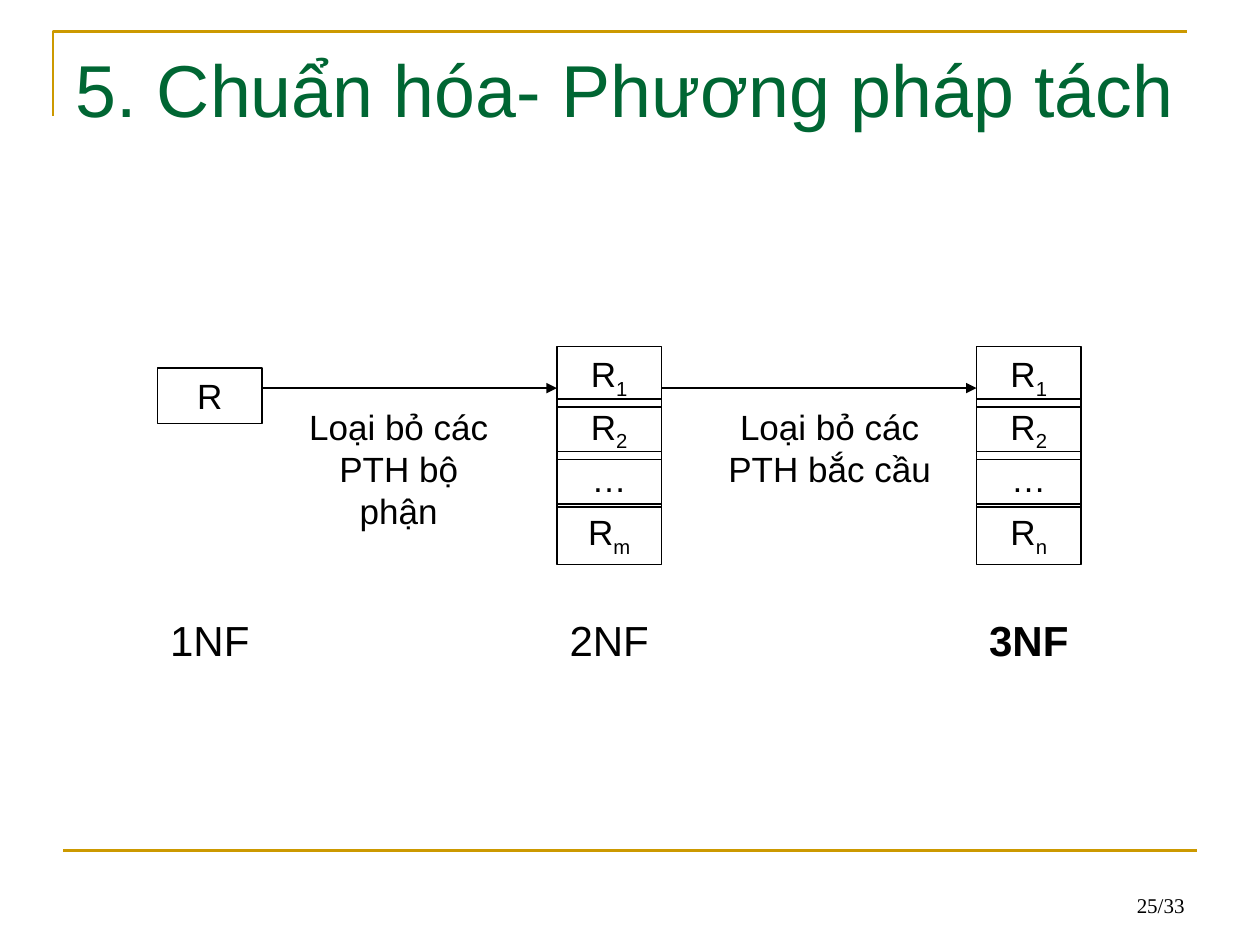
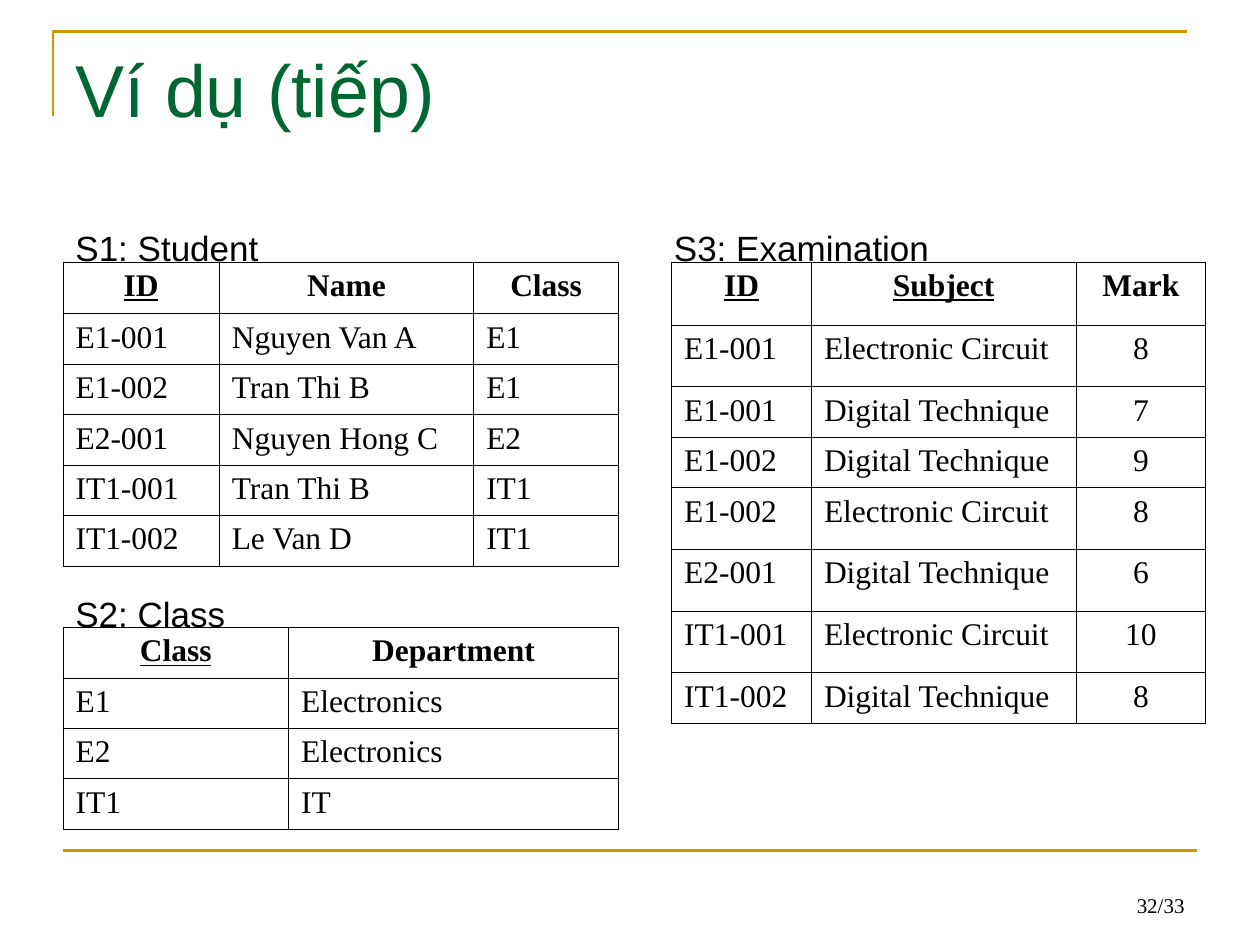
from dataclasses import dataclass

from lxml import etree
from pptx import Presentation
from pptx.dml.color import RGBColor
from pptx.enum import shapes, text
from pptx.oxml.ns import qn
from pptx.util import Inches, Pt


@dataclass(frozen=True)
class Theme:
    ink: RGBColor = RGBColor.from_string("000000")
    gold: RGBColor = RGBColor.from_string("CC9900")
    green: RGBColor = RGBColor.from_string("006633")
    sans: str = "Arial"
    serif: str = "Times New Roman"
    title: int = 42
    stage: int = 24
    body: int = 20
    table: int = 18
    footer: int = 12
    rule: float = 1.5
    outline: float = 0.75
    grid: float = 0.45


T = Theme()
LEFT, CENTER, RIGHT = text.PP_ALIGN.LEFT, text.PP_ALIGN.CENTER, text.PP_ALIGN.RIGHT


def style(p, size, color=T.ink, name=T.sans, bold=False, align=LEFT):
    p.alignment = align
    p.font.size, p.font.name, p.font.bold = Pt(size), name, bold
    p.font.color.rgb = color


def add_label(s, box, words, size, anchor=text.MSO_ANCHOR.TOP, **look):
    tf = s.shapes.add_textbox(*map(Inches, box)).text_frame
    tf.word_wrap = True
    tf.vertical_anchor = anchor
    p = tf.paragraphs[0]
    p.text = words
    style(p, size, **look)


def add_line(s, start, end, color, width, arrow=False):
    line = s.shapes.add_connector(shapes.MSO_CONNECTOR.STRAIGHT,
                                  *map(Inches, (*start, *end)))
    line.line.color.rgb, line.line.width = color, Pt(width)
    if arrow:
        etree.SubElement(line.line._get_or_add_ln(), qn("a:tailEnd"), type="triangle")
    etree.SubElement(line._element.spPr, qn("a:effectLst"))


def add_corner_rule(s, left, top, width, height):
    outline = s.shapes.build_freeform(Inches(left), Inches(top + height))
    outline.add_line_segments([(Inches(left), Inches(top)),
                               (Inches(left + width), Inches(top))], close=False)
    sp = outline.convert_to_shape()
    sp.shadow.inherit = False
    sp.fill.background()
    sp.line.color.rgb, sp.line.width = T.gold, Pt(T.rule)


def add_framed_slide(prs, title, page):
    """Add a blank slide with the shared rules, title and page number."""
    s = prs.slides.add_slide(prs.slide_layouts[6])
    add_corner_rule(s, 0.42, 0.25, 9, 0.67)
    add_line(s, (0.5, 6.75), (9.5, 6.75), T.gold, T.rule)
    add_label(s, (0.5, 0.3, 9, 1.25), title, T.title, color=T.green)
    add_label(s, (7.17, 6.83, 2.33, 0.5), f"{page}/33", T.footer,
              anchor=text.MSO_ANCHOR.BOTTOM, name=T.serif, align=RIGHT)
    return s


def add_relation(s, left, top, width, name, subscript=""):
    height = 0.48 if subscript else 0.44
    sp = s.shapes.add_shape(shapes.MSO_SHAPE.RECTANGLE,
                            *map(Inches, (left, top, width, height)))
    sp.shadow.inherit = False
    sp.fill.background()
    sp.line.color.rgb, sp.line.width = T.ink, Pt(T.outline)
    tf = sp.text_frame
    tf.word_wrap = True
    tf.vertical_anchor = text.MSO_ANCHOR.TOP
    p = tf.paragraphs[0]
    style(p, T.body, align=CENTER)
    p.add_run().text = name
    if subscript:
        r = p.add_run()
        r.text = subscript
        r.font._element.set("baseline", "-25000")


def add_stage(s, left, top, width, normal_form, relations, bold=False):
    """Stack the relations of one normal form, with its name underneath."""
    pitch = 1.25 / 3
    for i, relation in enumerate(relations):
        add_relation(s, left, top + i * pitch, width, *relation)
    label_width = 1.17
    add_label(s, (left + (width - label_width) / 2, 4.83, label_width, 0.5),
              normal_form, T.stage, bold=bold, align=CENTER)


def add_step(s, start, end, y, caption, caption_left, caption_width):
    add_line(s, (start, y), (end, y), T.ink, T.outline, arrow=True)
    add_label(s, (caption_left, y + 0.09, caption_width, 1.1), caption, T.body,
              align=CENTER)


def add_decomposition_slide(prs):
    s = add_framed_slide(prs, "5. Chuẩn hóa- Phương pháp tách", 25)
    width, first, second, third = 0.83, 1.25, 4.42, 7.75
    add_stage(s, first, 2.92, width, "1NF", [("R",)])
    for left, normal_form, last, bold in ((second, "2NF", "m", False),
                                          (third, "3NF", "n", True)):
        add_stage(s, left, 2.75, width, normal_form,
                  [("R", "1"), ("R", "2"), ("…",), ("R", last)], bold)
    add_step(s, first + width, second, 3.08, "Loại bỏ các PTH bộ phận", 2.33, 1.67)
    add_step(s, second + width, third, 3.08, "Loại bỏ các PTH bắc cầu", 5.67, 1.83)


def set_cell_borders(cell):
    tc_pr = cell._tc.get_or_add_tcPr()
    for side in ("lnL", "lnR", "lnT", "lnB"):
        ln = etree.SubElement(tc_pr, qn(f"a:{side}"), w=str(Pt(T.grid)))
        fill = etree.SubElement(ln, qn("a:solidFill"))
        etree.SubElement(fill, qn("a:srgbClr"), val=str(T.ink))


def add_relation_table(s, left, top, columns, heights, rows, keys, centered=()):
    """Draw a relation: the header names in keys are underlined."""
    table = s.shapes.add_table(len(rows), len(columns), *map(
        Inches, (left, top, sum(columns), sum(heights)))).table
    table.first_row = table.horz_banding = False
    for column, width in zip(table.columns, columns):
        column.width = Inches(width)
    for i, (row, height, values) in enumerate(zip(table.rows, heights, rows)):
        row.height = Inches(height)
        header = i == 0
        for j, (cell, value) in enumerate(zip(row.cells, values)):
            set_cell_borders(cell)
            cell.fill.background()
            p = cell.text_frame.paragraphs[0]
            p.text = value
            style(p, T.table, name=T.serif, bold=header,
                  align=CENTER if header or j in centered else LEFT)
            p.font.underline = header and value in keys


def add_example_slide(prs):
    s = add_framed_slide(prs, "Ví dụ (tiếp)", 32)
    students = [
        ("ID", "Name", "Class"),
        ("E1-001", "Nguyen Van A", "E1"),
        ("E1-002", "Tran Thi B", "E1"),
        ("E2-001", "Nguyen Hong C", "E2"),
        ("IT1-001", "Tran Thi B", "IT1"),
        ("IT1-002", "Le Van D", "IT1"),
    ]
    classes = [
        ("Class", "Department"),
        ("E1", "Electronics"),
        ("E2", "Electronics"),
        ("IT1", "IT"),
    ]
    circuit, digital = "Electronic Circuit", "Digital Technique"
    exams = [
        ("ID", "Subject", "Mark"),
        ("E1-001", circuit, "8"),
        ("E1-001", digital, "7"),
        ("E1-002", digital, "9"),
        ("E1-002", circuit, "8"),
        ("E2-001", digital, "6"),
        ("IT1-001", circuit, "10"),
        ("IT1-002", digital, "8"),
    ]
    add_relation_table(s, 0.5, 2.08, (1.24, 2.02, 1.15), [0.41] + [0.4] * 5,
                       students, {"ID"})
    add_relation_table(s, 0.5, 4.98, (1.79, 2.62), [0.4] * 4, classes, {"Class"})
    add_relation_table(s, 5.33, 2.08, (1.11, 2.1, 1.03),
                       (0.5, 0.49, 0.4, 0.4, 0.49, 0.49, 0.49, 0.4),
                       exams, {"ID", "Subject"}, centered={2})
    for left, top, width, caption in ((0.5, 1.75, 1.75, "S1: Student"),
                                      (0.5, 4.65, 1.67, "S2: Class"),
                                      (5.25, 1.75, 2.25, "S3: Examination")):
        add_label(s, (left, top, width, 0.44), caption, T.body)


def main():
    prs = Presentation()
    prs.slide_width, prs.slide_height = Inches(10), Inches(7.5)
    add_decomposition_slide(prs)
    add_example_slide(prs)
    prs.save("out.pptx")


if __name__ == "__main__":
    main()
